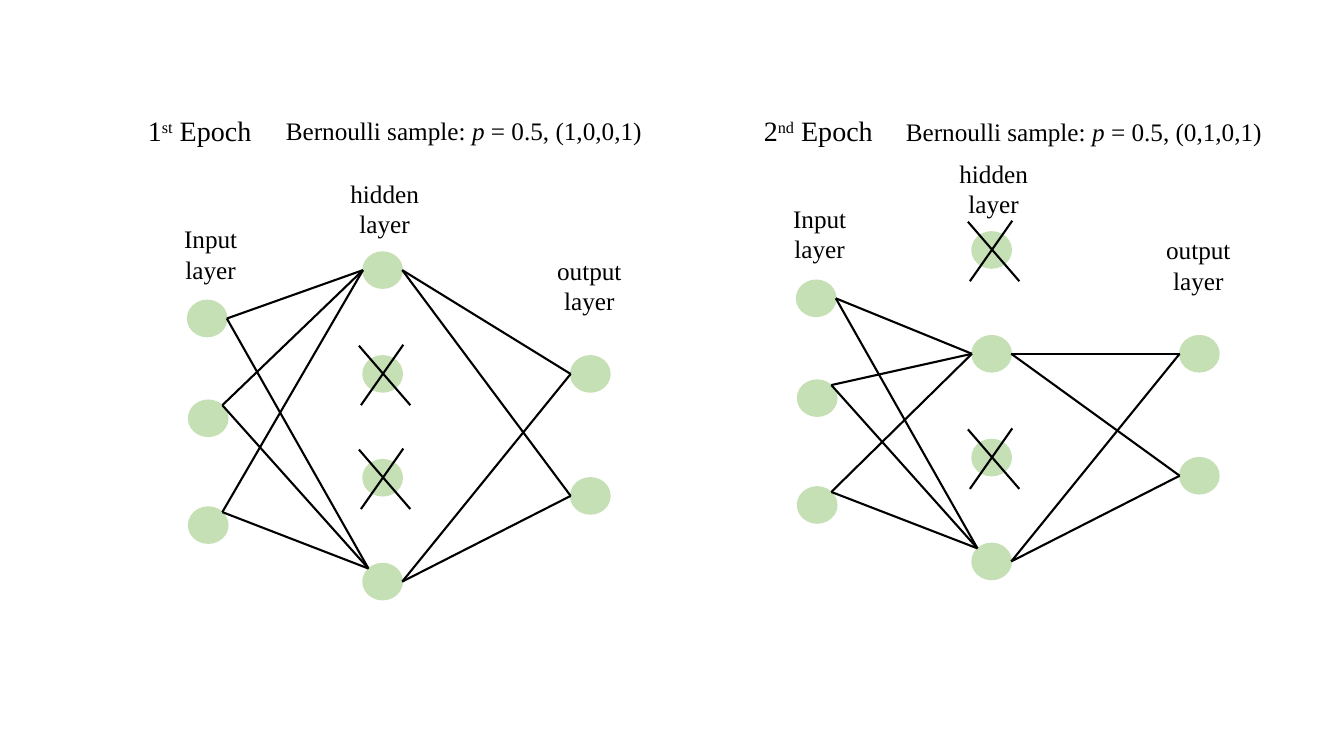
from itertools import product

from lxml import etree
from pptx import Presentation, util as u
from pptx.dml.color import RGBColor
from pptx.enum import shapes, text
from pptx.oxml.ns import qn

COLORS = {"node": "C5E0B4", "ink": "000000"}
SERIF, SANS = "Times New Roman", "Noto Sans CJK SC"
NODE_W, NODE_H = 0.39, 0.36
HIDDEN_STEP = 1.03
INPUTS = [(0, 0.48), (0.01, 1.47), (0.01, 2.53)]
HIDDEN = [(1.74, HIDDEN_STEP * row) for row in range(4)]
OUTPUTS = [(3.8, 1.03), (3.8, 2.24)]
LEFT, RIGHT = (0, 0.5), (1, 0.5)
TOP_LEFT, TOP_RIGHT = (0.14, 0.14), (0.86, 0.14)
LAYER_LABELS = [
    ("Input", -0.15, -0.33, 0.76),
    ("hidden", 1.51, -0.78, 0.89),
    ("output", 3.56, -0.02, 0.85),
]
EPOCHS = [
    {"origin": (1.86, 2.5), "sample": (1, 0, 0, 1), "sample_box": (2.67, 1.09, 3.86, 0.4),
     "title_box": (1.33, 1.08, 1.3, 0.44),
     "title": [("1", {}), ("st", {"raised": True}), (" Epoch", {})]},
    {"origin": (7.9, 2.3), "sample": (0, 1, 0, 1), "sample_box": (8.82, 1.1, 3.86, 0.4),
     "title_box": (7.39, 1.08, 1.39, 0.44),
     "title": [(" ", {"name": SANS}), ("2", {}), ("nd", {"raised": True}), (" Epoch", {})]},
]


def rgb(key):
    return RGBColor.from_string(COLORS[key])


def add_label(slide, box, paragraphs, size):
    frame = slide.shapes.add_textbox(*map(u.Inches, box)).text_frame
    frame.word_wrap = False
    frame.auto_size = text.MSO_AUTO_SIZE.SHAPE_TO_FIT_TEXT
    for index, pieces in enumerate(paragraphs):
        paragraph = frame.add_paragraph() if index else frame.paragraphs[0]
        paragraph.alignment = text.PP_ALIGN.CENTER
        for words, changes in pieces:
            run = paragraph.add_run()
            run.text = words
            style = {"name": SERIF, "size": u.Pt(size), **changes}
            if style.pop("raised", False):
                run._r.get_or_add_rPr().set("baseline", "30000")
            for attribute, value in style.items():
                setattr(run.font, attribute, value)
            run.font.color.rgb = rgb("ink")


def add_line(parent, start, end):
    line = parent.shapes.add_connector(
        shapes.MSO_CONNECTOR.STRAIGHT, *map(u.Inches, (*start, *end)))
    line.line.color.rgb = rgb("ink")
    line.line.width = u.Pt(1.5)
    etree.SubElement(line._element.spPr, qn("a:effectLst"))


def add_node(slide, corner):
    node = slide.shapes.add_shape(
        shapes.MSO_SHAPE.OVAL, *map(u.Inches, (*corner, NODE_W, NODE_H)))
    node.shadow.inherit = False
    node.fill.solid()
    node.fill.fore_color.rgb = rgb("node")
    node.line.color.rgb = rgb("node")
    node.line.width = u.Pt(1)


def add_cross(slide, corner):
    x, y = corner
    cross = slide.shapes.add_group_shape()
    add_line(cross, (x - 0.04, y - 0.1), (x + 0.47, y + 0.49))
    add_line(cross, (x + 0.4, y - 0.11), (x - 0.02, y + 0.49))


def port(corner, side):
    return corner[0] + NODE_W * side[0], corner[1] + NODE_H * side[1]


def add_network(slide, origin, sample):
    x, y = origin
    inputs, hidden, outputs = (
        [(x + dx, y + dy) for dx, dy in layer] for layer in (INPUTS, HIDDEN, OUTPUTS))
    for corner in inputs + hidden + outputs:
        add_node(slide, corner)
    for corner, kept in zip(hidden, sample):
        if not kept:
            add_cross(slide, corner)
    active = [corner for corner, kept in zip(hidden, sample) if kept]
    senders = [port(c, side) for c, side in zip(inputs, (RIGHT, TOP_RIGHT, TOP_RIGHT))]
    receivers = [port(c, side) for c, side in zip(active, (LEFT, TOP_LEFT))]
    for start, end in product(senders, receivers):
        add_line(slide, start, end)
    for source, target in product(active, outputs):
        add_line(slide, port(source, RIGHT), port(target, LEFT))
    for layer_name, dx, dy, width in LAYER_LABELS:
        add_label(slide, (x + dx, y + dy, width, 0.71),
                  [[(layer_name, {})], [("layer", {})]], 18)


def add_heading(slide, epoch):
    add_label(slide, epoch["title_box"], [epoch["title"]], 20)
    mask = ",".join(map(str, epoch["sample"]))
    add_label(slide, epoch["sample_box"], [[
        ("Bernoulli sample: ", {}), ("p", {"italic": True}), (f" = 0.5, ({mask})", {})]], 18)


def main():
    deck = Presentation()
    deck.slide_width, deck.slide_height = u.Inches(13.33), u.Inches(7.5)
    slide = deck.slides.add_slide(deck.slide_layouts[6])
    for epoch in EPOCHS:
        add_heading(slide, epoch)
        add_network(slide, epoch["origin"], epoch["sample"])
    deck.save("out.pptx")


if __name__ == "__main__":
    main()
